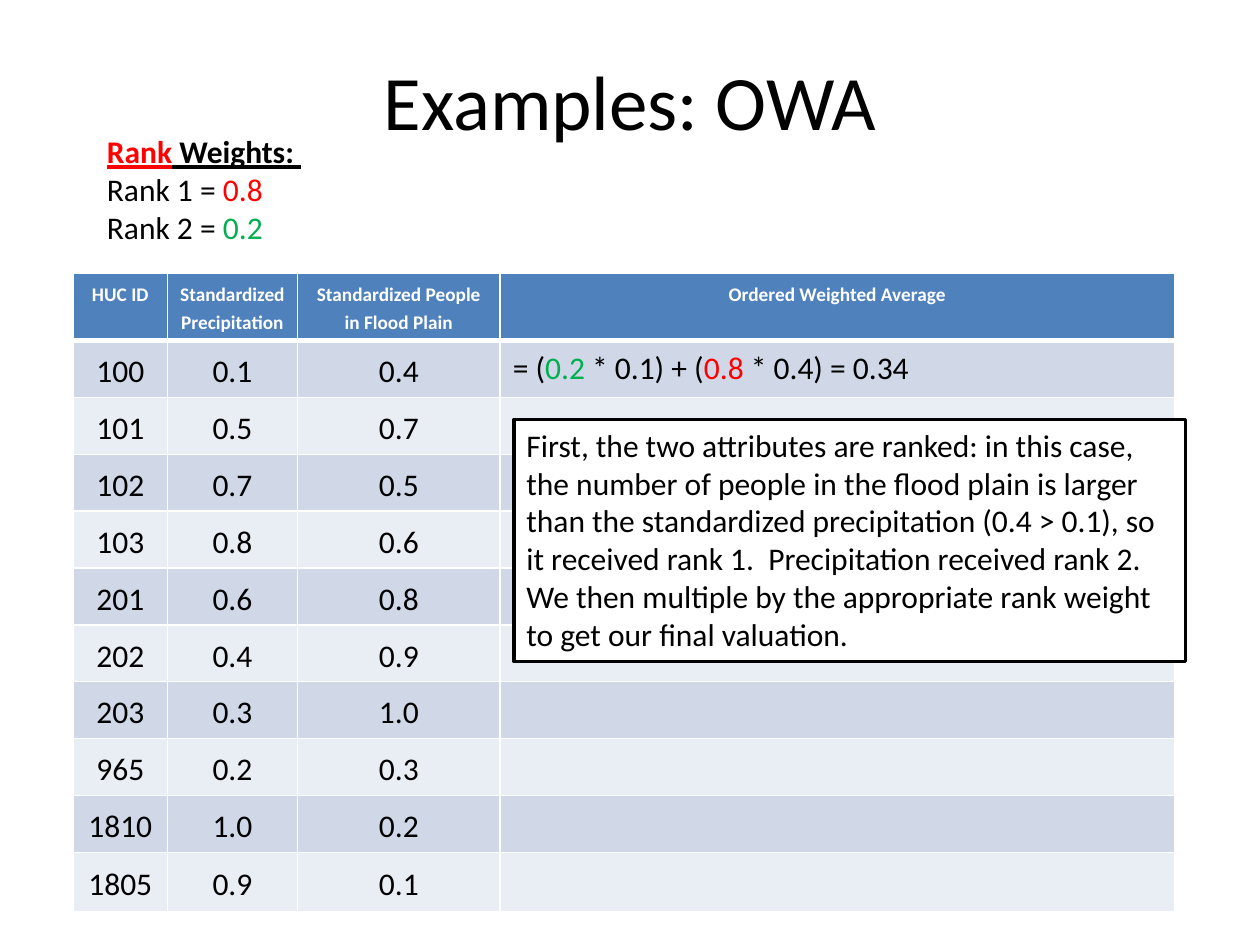
from pptx import Presentation
from pptx.dml.color import RGBColor
from pptx.enum.shapes import MSO_SHAPE as Shape
from pptx.enum.text import MSO_ANCHOR as Anchor, PP_ALIGN as Align
from pptx.oxml import parse_xml
from pptx.oxml.ns import nsdecls
from pptx.util import Inches, Pt

# Content
COLORS = {"black": "000000", "white": "FFFFFF", "red": "FF0000", "green": "00B050",
          "header": "4F81BD", "band_dark": "D0D8E8", "band_light": "E9EDF4"}
TITLE = "Examples: OWA"
HEADERS = ["HUC ID", "Standardized Precipitation",
           "Standardized People in Flood Plain", "Ordered Weighted Average"]
ROWS = [("100", "0.1", "0.4"), ("101", "0.5", "0.7"), ("102", "0.7", "0.5"),
        ("103", "0.8", "0.6"), ("201", "0.6", "0.8"), ("202", "0.4", "0.9"),
        ("203", "0.3", "1.0"), ("965", "0.2", "0.3"), ("1810", "1.0", "0.2"),
        ("1805", "0.9", "0.1")]
FORMULA = [("= (", {}), ("0.2", {"color": "green"}), (" * 0.1) + (", {}),
           ("0.8", {"color": "red"}), (" * 0.4) = 0.34", {})]
HEADING = {"bold": True, "underline": True}
WEIGHTS = [("Rank", {"color": "red", **HEADING}), (" Weights: ", HEADING), "\n",
           ("Rank 1 = ", {}), ("0.8", {"color": "red"}), "\n",
           ("Rank 2 = ", {}), ("0.2", {"color": "green"})]
NOTE = ("First, the two attributes are ranked: in this case, the number of people in the "
        "flood plain is larger than the standardized precipitation (0.4 > 0.1), so it "
        "received rank 1.  Precipitation received rank 2.  We then multiple by the "
        "appropriate rank weight to get our final valuation.")
COLUMN_WIDTHS = [0.75, 1.03, 1.61, 5.35]
ROW_HEIGHTS = [0.52] + [0.45] * 9 + [0.47]


def rgb(name):
    return RGBColor.from_string(COLORS[name])


def write(frame, spans, size=18, color="black", bold=False, align=Align.LEFT,
          anchor=Anchor.TOP, spacing=None, after=None):
    """Fill a frame's first paragraph with a string or (text, format) spans."""
    frame.word_wrap = True
    frame.vertical_anchor = anchor
    para = frame.paragraphs[0]
    para.alignment = align
    if spacing:
        para.line_spacing = spacing
    if after:
        para.space_after = Pt(after)
    for part in [(spans, {})] if isinstance(spans, str) else spans:
        if part == "\n":
            para.add_line_break()
            continue
        text, style = part
        span = para.add_run()
        span.text = text
        span.font.name = "Calibri"
        span.font.size = Pt(size)
        span.font.bold = style.get("bold", bold)
        span.font.underline = style.get("underline", False)
        span.font.color.rgb = rgb(style.get("color", color))


def format_cell(cell, fill, top, bottom):
    cell.fill.solid()
    cell.fill.fore_color.rgb = rgb(fill)
    properties = cell._tc.get_or_add_tcPr()
    for i, (side, width) in enumerate((("L", 1), ("R", 1), ("T", top), ("B", bottom))):
        properties.insert(i, parse_xml(
            f'<a:ln{side} {nsdecls("a")} w="{Pt(width)}"><a:solidFill>'
            f'<a:srgbClr val="{COLORS["white"]}"/></a:solidFill></a:ln{side}>'))


def add_scores(page):
    frame = page.shapes.add_table(len(ROW_HEIGHTS), len(COLUMN_WIDTHS), Inches(0.58),
                                  Inches(2.17), Inches(sum(COLUMN_WIDTHS)),
                                  Inches(sum(ROW_HEIGHTS)))
    table = frame.table
    table.horz_banding = False
    for column, width in zip(table.columns, COLUMN_WIDTHS):
        column.width = Inches(width)
    for row, height in zip(table.rows, ROW_HEIGHTS):
        row.height = Inches(height)
    centered = {"align": Align.CENTER, "spacing": 1.15, "after": 10}
    for r, values in enumerate([HEADERS] + ROWS):
        fill = "header" if r == 0 else "band_dark" if r % 2 else "band_light"
        for cell in table.rows[r].cells:
            format_cell(cell, fill, 3 if r == 1 else 1, 3 if r == 0 else 1)
        for c, value in enumerate(values):
            frame = table.cell(r, c).text_frame
            if r == 0:
                write(frame, value, size=11, color="white", bold=True, **centered)
            else:
                write(frame, value, **centered)
                table.cell(r, c).vertical_anchor = Anchor.MIDDLE
    result = table.cell(1, 3)
    write(result.text_frame, FORMULA)
    result.vertical_anchor = Anchor.MIDDLE


def main():
    deck = Presentation()
    deck.slide_width, deck.slide_height = Inches(10), Inches(7.5)
    page = deck.slides.add_slide(deck.slide_layouts[5])

    # Title
    title = page.shapes.title
    title.left, title.top = Inches(0.5), Inches(0.17)
    title.width, title.height = Inches(9), Inches(1.25)
    write(title.text_frame, TITLE, size=44, align=Align.CENTER, anchor=Anchor.MIDDLE)

    # Score table
    add_scores(page)

    # Rank weights
    box = page.shapes.add_textbox(Inches(0.75), Inches(1), Inches(3.58), Inches(1.01))
    write(box.text_frame, WEIGHTS)

    # Explanation over the table
    note = page.shapes.add_shape(Shape.RECTANGLE, Inches(4.08), Inches(3.33),
                                 Inches(5.33), Inches(1.92))
    note.shadow.inherit = False
    note.fill.solid()
    note.fill.fore_color.rgb = rgb("white")
    note.line.color.rgb = rgb("black")
    note.line.width = Pt(2)
    write(note.text_frame, NOTE)

    deck.save("out.pptx")


if __name__ == "__main__":
    main()
